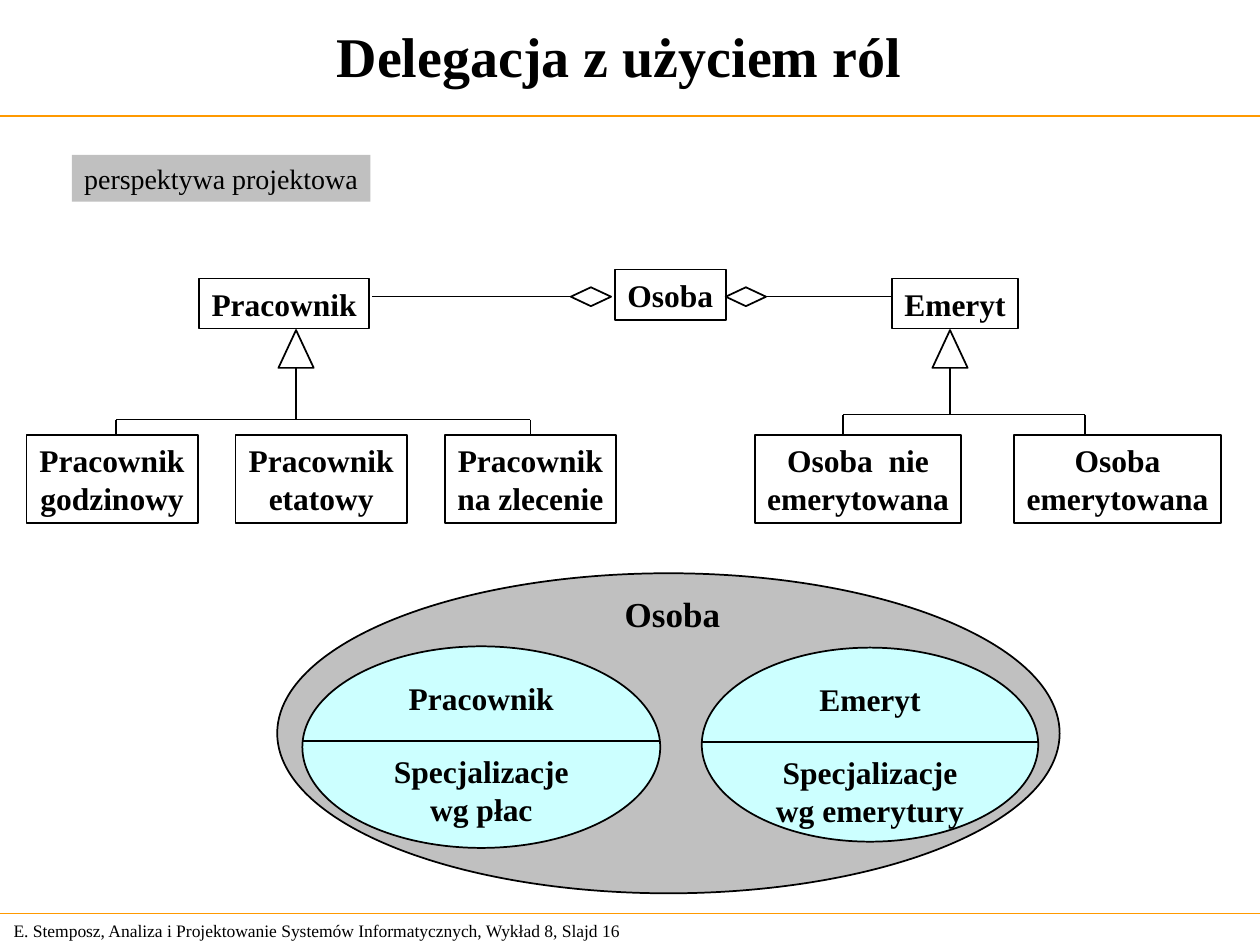
import pptx
import pptx.util
import pptx.dml.color
import pptx.enum.shapes
import pptx.enum.text
import pptx.oxml.ns
import lxml.etree

Inches = pptx.util.Inches
RGBColor = pptx.dml.color.RGBColor
SHAPE = pptx.enum.shapes.MSO_SHAPE
ALIGN = pptx.enum.text.PP_ALIGN
ANCHOR = pptx.enum.text.MSO_ANCHOR

FONT = "Times New Roman"
BLACK = RGBColor(0x00, 0x00, 0x00)
WHITE = RGBColor(0xFF, 0xFF, 0xFF)
GREY = RGBColor(0xC0, 0xC0, 0xC0)
CYAN = RGBColor(0xCC, 0xFF, 0xFF)
ORANGE = RGBColor(0xFF, 0x99, 0x00)


def write_text(holder, text, size=18, bold=True, align=ALIGN.CENTER,
               anchor=ANCHOR.TOP):
    frame = holder.text_frame
    frame.text = text
    frame.word_wrap = True
    frame.auto_size = pptx.enum.text.MSO_AUTO_SIZE.NONE
    frame.vertical_anchor = anchor
    frame.margin_left = Inches(0.1 if align == ALIGN.LEFT else 0.03)
    frame.margin_right = Inches(0.03)
    frame.margin_top = frame.margin_bottom = Inches(0.05)
    for paragraph in frame.paragraphs:
        paragraph.alignment = align
        paragraph.font.name = FONT
        paragraph.font.size = pptx.util.Pt(size)
        paragraph.font.bold = bold
        paragraph.font.color.rgb = BLACK


def add_label(slide, box, text, **text_format):
    label = slide.shapes.add_textbox(*map(Inches, box))
    write_text(label, text, **text_format)
    return label


def add_figure(slide, kind, box, fill=WHITE, line=BLACK, weight=1):
    figure = slide.shapes.add_shape(kind, *map(Inches, box))
    figure.shadow.inherit = False
    if fill is None:
        figure.fill.background()
    else:
        figure.fill.solid()
        figure.fill.fore_color.rgb = fill
    if line is None:
        figure.line.fill.background()
    else:
        figure.line.color.rgb = line
        figure.line.width = pptx.util.Pt(weight)
    return figure


def add_line(slide, start, end, color=BLACK, weight=1):
    line = slide.shapes.add_connector(
        pptx.enum.shapes.MSO_CONNECTOR.STRAIGHT, *map(Inches, (*start, *end)))
    line.line.color.rgb = color
    line.line.width = pptx.util.Pt(weight)
    lxml.etree.SubElement(line._element.spPr, pptx.oxml.ns.qn("a:effectLst"))
    return line


def add_class(slide, box, text, fill=WHITE, weight=1, **text_format):
    class_box = add_figure(slide, SHAPE.RECTANGLE, box, fill=fill, weight=weight)
    write_text(class_box, text, **text_format)
    return class_box


def add_header(slide, box):
    left, top, width, height = box
    title = slide.shapes.title
    title.left, title.top = Inches(left), Inches(top)
    title.width, title.height = Inches(width), Inches(height)
    write_text(title, "Delegacja z użyciem ról", size=32, anchor=ANCHOR.MIDDLE)
    rule = top + height + 0.02
    add_line(slide, (0, rule), (10, rule), color=ORANGE, weight=0.75)


def add_footer(slide, box):
    left, top, width, height = box
    add_line(slide, (0, top), (10, top), color=ORANGE, weight=0.75)
    add_label(slide, box,
              "E. Stemposz, Analiza i Projektowanie Systemów Informatycznych, "
              "Wykład 8, Slajd 16",
              size=10, bold=False, align=ALIGN.LEFT, anchor=ANCHOR.MIDDLE)


def add_perspective(slide, box):
    perspective = add_figure(slide, SHAPE.RECTANGLE, box, fill=GREY, line=None)
    write_text(perspective, "perspektywa projektowa", size=16, bold=False,
               align=ALIGN.LEFT)


def add_class_tree(slide, box, parent, parent_dx, parent_width, parent_fill,
                   stem_dx, bar_dy, children, child_width, drops):
    left, top, width, height = box
    child_height = 0.7
    child_top = top + height - child_height
    step = (width - child_width) / (len(children) - 1)
    stem, bar = left + stem_dx, top + bar_dy

    add_class(slide, (left + parent_dx, top, parent_width, 0.4), parent,
              fill=parent_fill, weight=0.75, anchor=ANCHOR.MIDDLE)
    add_figure(slide, SHAPE.ISOSCELES_TRIANGLE, (stem - 0.14, top + 0.41, 0.28, 0.3))
    add_line(slide, (stem, top + 0.71), (stem, bar), weight=0.75)
    add_line(slide, (left + min(drops.values()), bar),
             (left + max(drops.values()), bar))

    for index, child in enumerate(children):
        child_dx = index * step
        child_box = add_class(
            slide, (left + child_dx, child_top, child_width, child_height), child)
        if index in drops:
            drop_dx = drops[index]
            drop = add_line(slide, (left + drop_dx, bar), (left + drop_dx, child_top))
            if abs(child_dx + child_width / 2 - drop_dx) < 0.01:
                drop.end_connect(child_box, 0)


def add_aggregation(slide, box):
    left, top, width, height = box
    whole_left, whole_width = left + 1.93, 0.88
    diamond_width, diamond_height = 0.32, 0.15
    diamond_top = top + 0.14
    axis = diamond_top + diamond_height / 2

    add_class(slide, (whole_left, top, whole_width, height), "Osoba", fill=None)
    sides = [(whole_left - 0.03 - diamond_width, left, 1),
             (whole_left + whole_width, left + width, 3)]
    for diamond_left, far_end, site in sides:
        diamond = add_figure(slide, SHAPE.DIAMOND,
                             (diamond_left, diamond_top, diamond_width, diamond_height))
        link = add_line(slide, (diamond_left, axis), (far_end, axis), weight=0.75)
        link.begin_connect(diamond, site)


def add_role(slide, box, role, role_width, specialisation, specialisation_width):
    left, top, width, height = box
    centre, divider = left + width / 2, top + 0.75
    add_figure(slide, SHAPE.OVAL, box, fill=CYAN)
    add_label(slide, (centre - role_width / 2, top + 0.21, role_width, 0.4), role)
    add_label(slide, (centre - specialisation_width / 2, top + 0.79,
                      specialisation_width, 0.7), specialisation)
    add_line(slide, (left, divider), (left + width, divider))


def add_person_roles(slide, box):
    left, top, width, height = box
    add_figure(slide, SHAPE.OVAL, box, fill=GREY)
    add_label(slide, (left + 2.66, top + 0.1, 0.96, 0.44), "Osoba",
              size=20, align=ALIGN.LEFT)
    add_role(slide, (left + 0.2, top + 0.58, 2.84, 1.6),
             "Pracownik", 1.35, "Specjalizacje\nwg płac", 1.59)
    add_role(slide, (left + 3.37, top + 0.59, 2.67, 1.54),
             "Emeryt", 1, "Specjalizacje\nwg emerytury", 1.69)


def main():
    presentation = pptx.Presentation()
    presentation.slide_width, presentation.slide_height = Inches(10), Inches(7.5)
    slide = presentation.slides.add_slide(presentation.slide_layouts[5])

    add_header(slide, (0, -0.02, 9.83, 0.92))
    add_footer(slide, (0.01, 7.25, 5.24, 0.27))
    add_perspective(slide, (0.57, 1.23, 2.37, 0.37))
    add_person_roles(slide, (2.2, 4.55, 6.21, 2.54))
    add_aggregation(slide, (2.95, 2.14, 4.13, 0.4))
    add_class_tree(
        slide, (0.21, 2.21, 4.68, 1.94), "Pracownik", parent_dx=1.37,
        parent_width=1.35, parent_fill=None, stem_dx=2.14, bar_dy=1.12,
        children=["Pracownik\ngodzinowy", "Pracownik\netatowy",
                  "Pracownik\nna zlecenie"],
        child_width=1.36, drops={0: 0.71, 2: 4})
    add_class_tree(
        slide, (5.99, 2.21, 3.7, 1.94), "Emeryt", parent_dx=1.09,
        parent_width=1, parent_fill=WHITE, stem_dx=1.55, bar_dy=1.08,
        children=["Osoba  nie\nemerytowana", "Osoba\nemerytowana"],
        child_width=1.64, drops={0: 0.7, 1: 2.62})

    presentation.save("out.pptx")


if __name__ == "__main__":
    main()
